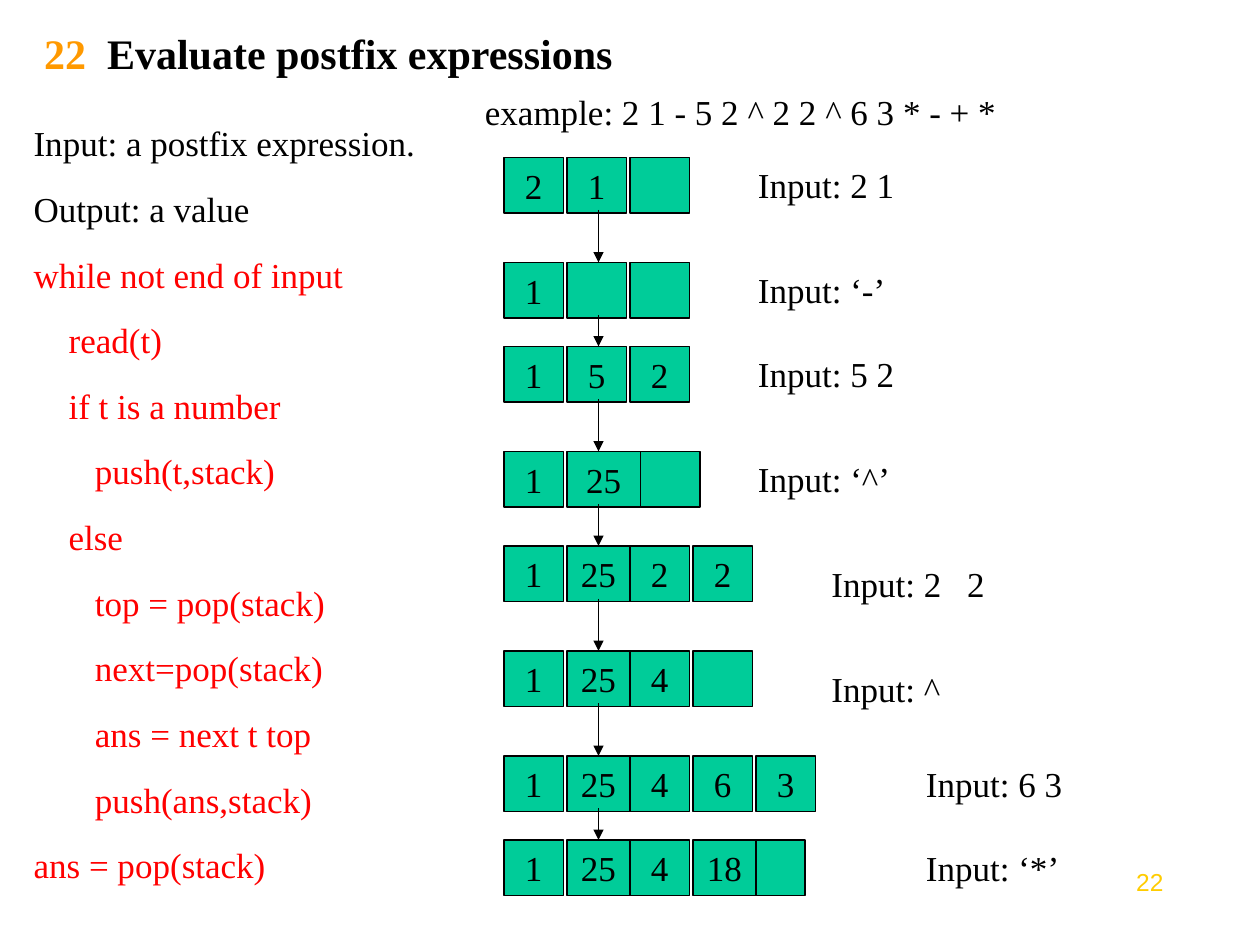
from dataclasses import dataclass
from itertools import pairwise

from lxml import etree
from pptx import Presentation
from pptx.dml.color import RGBColor
from pptx.enum.shapes import MSO_CONNECTOR, MSO_SHAPE
from pptx.enum.text import MSO_ANCHOR, MSO_AUTO_SIZE, PP_ALIGN
from pptx.oxml.ns import qn
from pptx.util import Pt

LEFT, CENTER, RIGHT = PP_ALIGN.LEFT, PP_ALIGN.CENTER, PP_ALIGN.RIGHT
TOP, MIDDLE = MSO_ANCHOR.TOP, MSO_ANCHOR.MIDDLE
NO_FIT = MSO_AUTO_SIZE.NONE
RECTANGLE = MSO_SHAPE.RECTANGLE
STRAIGHT = MSO_CONNECTOR.STRAIGHT

SERIF = "Times New Roman"
BLACK, RED, ORANGE, YELLOW, GREEN = "000000", "FF0000", "FF9900", "FFCC00", "00CC99"
STACK_LEFT, CELL_PITCH, CELL_HEIGHT = 288, 36, 31.7
ARROW_X, ARROW_OFFSET = 342, 30
LABEL_TAB = 77.5


@dataclass(frozen=True)
class Cell:
    text: str = ""
    width: float = 34
    advance: float = CELL_PITCH


@dataclass(frozen=True)
class StackState:
    top: float
    cells: tuple[Cell, ...]
    label: str
    label_left: float = 426
    label_width: float = 192
    label_shift: float = 0


@dataclass(frozen=True)
class CodeLine:
    text: str
    indent: float = 0
    color: str = RED


EMPTY = Cell()
ONE, TWO, THREE, FOUR, FIVE, SIX = (Cell(digit) for digit in "123456")
TWENTY_FIVE = Cell("25", 36)
EIGHTEEN = Cell("18", 36)

STATES = (
    StackState(90, (TWO, ONE, EMPTY), "Input: 2 1"),
    StackState(150, (ONE, EMPTY, EMPTY), "Input: ‘-’"),
    StackState(198, (ONE, FIVE, TWO), "Input: 5 2"),
    StackState(258, (ONE, Cell("25", 42, 42), EMPTY), "Input: ‘^’"),
    StackState(312, (ONE, TWENTY_FIVE, TWO, TWO), "Input: 2\t2", 468, 192, 6),
    StackState(372, (ONE, TWENTY_FIVE, FOUR, EMPTY), "Input: ^", 468, 192, 6),
    StackState(432, (ONE, TWENTY_FIVE, FOUR, SIX, THREE), "Input: 6 3", 522, 120),
    StackState(480, (ONE, TWENTY_FIVE, FOUR, EIGHTEEN, Cell("", 28)), "Input: ‘*’", 522, 120),
)

CODE = (
    CodeLine("Input: a postfix expression.", color=BLACK),
    CodeLine("Output: a value", color=BLACK),
    CodeLine("while not end of input"),
    CodeLine("read(t)", 20),
    CodeLine("if t is a number", 20),
    CodeLine("push(t,stack)", 35),
    CodeLine("else", 20),
    CodeLine("top = pop(stack)", 35),
    CodeLine("next=pop(stack)", 35),
    CodeLine("ans = next t top", 35),
    CodeLine("push(ans,stack)", 35),
    CodeLine("ans = pop(stack)"),
)


def paint(target, color: str) -> None:
    target.rgb = RGBColor.from_string(color)


def add_span(para, text: str, color: str = BLACK, size: float = 20,
             font: str = SERIF, bold: bool = False) -> None:
    span = para.add_run()
    span.text = text
    span.font.name = font
    span.font.size = Pt(size)
    span.font.bold = bold
    paint(span.font.color, color)


def place(box, left: float, top: float, width: float, height: float, anchor=TOP) -> None:
    box.left, box.top, box.width, box.height = map(Pt, (left, top, width, height))
    box.text_frame.word_wrap = True
    box.text_frame.auto_size = NO_FIT
    box.text_frame.vertical_anchor = anchor


def add_label(page, text: str, left: float, top: float, width: float):
    box = page.shapes.add_textbox(0, 0, 0, 0)
    place(box, left, top, width, CELL_HEIGHT)
    para = box.text_frame.paragraphs[0]
    if "\t" in text:
        stops = etree.SubElement(para._p.get_or_add_pPr(), qn("a:tabLst"))
        etree.SubElement(stops, qn("a:tab"), pos=str(Pt(LABEL_TAB)), algn="l")
    add_span(para, text)


def add_cell(page, cell: Cell, left: float, top: float) -> None:
    box = page.shapes.add_shape(RECTANGLE, 0, 0, 0, 0)
    place(box, left, top, cell.width, CELL_HEIGHT, MIDDLE)
    box.shadow.inherit = False
    box.fill.solid()
    paint(box.fill.fore_color, GREEN)
    paint(box.line.color, BLACK)
    box.line.width = Pt(0.75)
    if cell.text:
        para = box.text_frame.paragraphs[0]
        para.alignment = CENTER
        add_span(para, cell.text)


def add_state(page, state: StackState) -> None:
    left = STACK_LEFT
    for cell in state.cells:
        add_cell(page, cell, left, state.top)
        left += cell.advance
    add_label(page, state.label, state.label_left,
              state.top + state.label_shift, state.label_width)


def add_arrow(page, start: float, end: float) -> None:
    arrow = page.shapes.add_connector(STRAIGHT, Pt(ARROW_X), Pt(start), Pt(ARROW_X), Pt(end))
    paint(arrow.line.color, BLACK)
    arrow.line.width = Pt(0.75)
    etree.SubElement(arrow.line._get_or_add_ln(), qn("a:tailEnd"), type="triangle")
    etree.SubElement(arrow._element.spPr, qn("a:effectLst"))


def add_title(page) -> None:
    title = page.shapes.title
    place(title, 12, 12, 612, 36, MIDDLE)
    title.text_frame.margin_left = Pt(13.2)
    para = title.text_frame.paragraphs[0]
    para.alignment = LEFT
    add_span(para, "22 ", ORANGE, 24, bold=True)
    add_span(para, " Evaluate postfix expressions", BLACK, 24, bold=True)


def add_code(page) -> None:
    body = page.placeholders[1]
    place(body, 12, 66, 234, 433)
    for index, line in enumerate(CODE):
        frame = body.text_frame
        para = frame.add_paragraph() if index else frame.paragraphs[0]
        para.space_before = Pt(13.5 if index else 0)
        properties = para._p.get_or_add_pPr()
        properties.set("marL", str(Pt(line.indent)))
        properties.set("indent", "0")
        etree.SubElement(properties, qn("a:buNone"))
        add_span(para, line.text, line.color)


def add_page_number(page) -> None:
    box = page.shapes.add_textbox(0, 0, 0, 0)
    place(box, 624, 492, 48, 37)
    para = box.text_frame.paragraphs[0]
    para.alignment = RIGHT
    add_span(para, "22", YELLOW, 14, "Arial")


def main() -> None:
    deck = Presentation()
    deck.slide_width, deck.slide_height = Pt(720), Pt(540)
    page = deck.slides.add_slide(deck.slide_layouts[1])
    add_page_number(page)
    add_title(page)
    add_code(page)
    add_label(page, "example: 2 1 - 5 2 ^ 2 2 ^ 6 3 * - + *", 270, 48, 414)
    for state in STATES:
        add_state(page, state)
    for upper, lower in pairwise(STATES):
        add_arrow(page, upper.top + ARROW_OFFSET, lower.top)
    deck.save("out.pptx")


if __name__ == "__main__":
    main()
